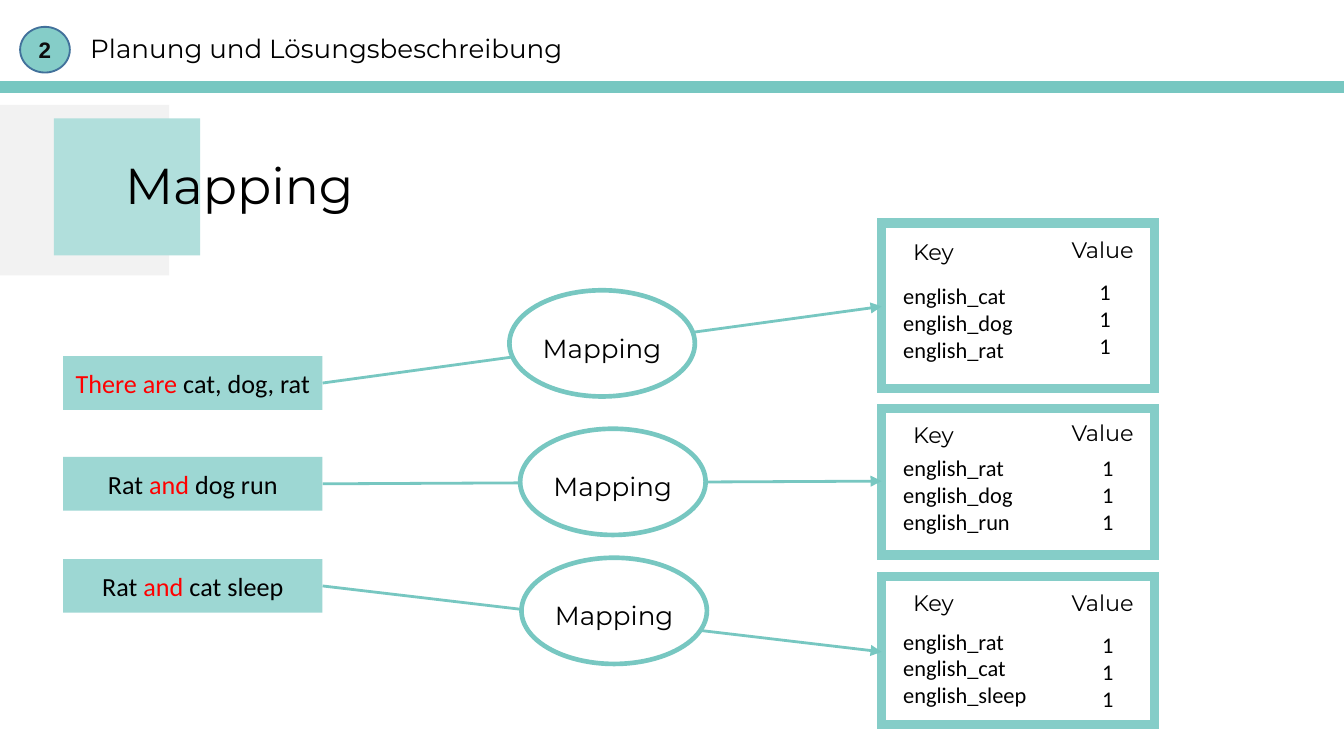
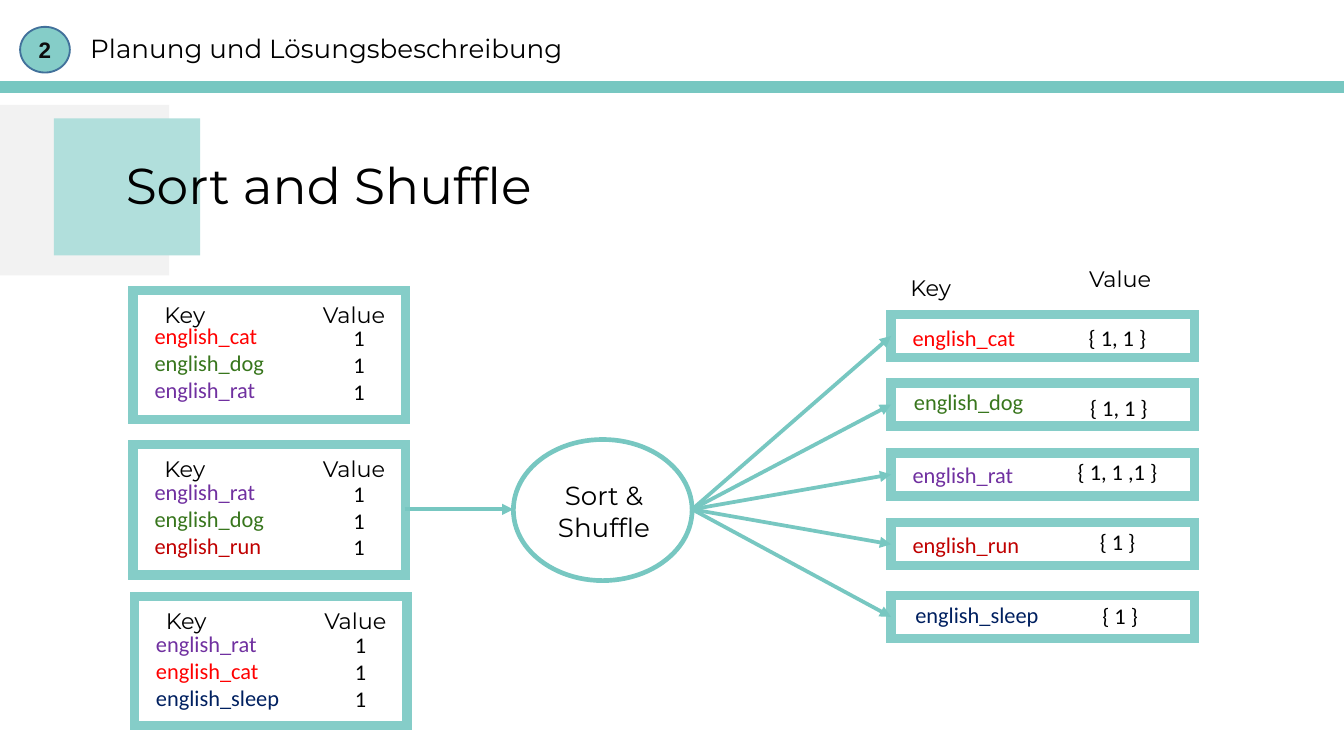
from lxml.etree import SubElement
from pptx import Presentation
from pptx.dml.color import RGBColor
from pptx.enum.shapes import MSO_CONNECTOR, MSO_SHAPE
from pptx.enum.text import MSO_ANCHOR, PP_ALIGN
from pptx.oxml.ns import qn
from pptx.util import Inches, Pt

BLACK = RGBColor(0x00, 0x00, 0x00)
WHITE = RGBColor(0xFF, 0xFF, 0xFF)
INK = RGBColor(0x0C, 0x0C, 0x0C)
GREY = RGBColor(0xF2, 0xF2, 0xF2)
TEAL = RGBColor(0x77, 0xC7, 0xC1)
FRAME = RGBColor(0x85, 0xCD, 0xC8)
PALE_TEAL = RGBColor(0xB1, 0xDF, 0xDC)
INPUT_TEAL = RGBColor(0x9D, 0xD7, 0xD3)
BLUE = RGBColor(0x42, 0x71, 0x9B)
RED = RGBColor(0xFF, 0x00, 0x00)
GREEN = RGBColor(0x38, 0x76, 0x1D)
PURPLE = RGBColor(0x70, 0x30, 0xA0)
DARK_RED = RGBColor(0xC0, 0x00, 0x00)
NAVY = RGBColor(0x00, 0x20, 0x60)

TITLE = {"name": "Montserrat", "size": Pt(27)}
HEADING = {"name": "Montserrat", "size": Pt(14)}
LABEL = {"name": "Montserrat", "size": Pt(12)}
INPUT = {"name": "Calibri", "size": Pt(14)}
ENTRY = {"name": "Calibri", "size": Pt(12)}
BADGE = {"name": "Arial", "size": Pt(12), "bold": True}

KEY_COLORS = {
    "english_cat": RED,
    "english_dog": GREEN,
    "english_rat": PURPLE,
    "english_run": DARK_RED,
    "english_sleep": NAVY,
}


def add_box(shapes, at, paras=(), font=ENTRY, align=PP_ALIGN.CENTER,
            kind=None, fill=None, line=None, width=0):
    """Add a preset shape, or a text box if kind is None.

    Each paragraph is a list of (text, colour) runs; a run "\\n" is a line break.
    """
    place = [Inches(v) for v in at]
    if kind is None:
        sp = shapes.add_textbox(*place)
    else:
        sp = shapes.add_shape(kind, *place)
        sp.shadow.inherit = False
        sp.fill.solid()
        sp.fill.fore_color.rgb = fill
        if line is None:
            sp.line.fill.background()
        else:
            sp.line.color.rgb = line
            sp.line.width = Pt(width)
            SubElement(sp._element.spPr.find(qn("a:ln")), qn("a:miter"), lim="800000")
    tf = sp.text_frame
    tf.word_wrap = True
    tf.vertical_anchor = MSO_ANCHOR.TOP if kind is None else MSO_ANCHOR.MIDDLE
    tf.margin_left = tf.margin_right = Inches(0.07)
    tf.margin_top = tf.margin_bottom = Inches(0.04)
    for i, runs in enumerate(paras):
        p = tf.add_paragraph() if i else tf.paragraphs[0]
        p.alignment = align
        for text, color in runs:
            if text == "\n":
                p.add_line_break()
                continue
            r = p.add_run()
            r.text = text
            r.font.color.rgb = color
            for name, value in font.items():
                setattr(r.font, name, value)


def add_line(s, start, end, width, arrow=True):
    cx = s.shapes.add_connector(MSO_CONNECTOR.STRAIGHT, *[Inches(v) for v in (*start, *end)])
    cx.line.color.rgb = TEAL
    cx.line.width = Pt(width)
    spPr = cx._element.spPr
    if arrow:
        SubElement(spPr.find(qn("a:ln")), qn("a:tailEnd"), type="triangle")
    SubElement(spPr, qn("a:effectLst"))


prs = Presentation()
prs.slide_width = Inches(10)
prs.slide_height = prs.slide_width * 9 // 16

# Header and title on both slides
slides = []
for title, title_width in (("Mapping", 2.22), ("Sort and Shuffle", 3.55)):
    s = prs.slides.add_slide(prs.slide_layouts[6])
    slides.append(s)
    add_box(s.shapes, (0, 0.78, 1.26, 1.27), kind=MSO_SHAPE.RECTANGLE, fill=GREY)
    add_box(s.shapes, (0.4, 0.88, 1.09, 1.02), kind=MSO_SHAPE.RECTANGLE, fill=PALE_TEAL)
    add_line(s, (0, 0.65), (10, 0.65), 6.5, arrow=False)
    add_box(s.shapes, (0.15, 0.2, 0.37, 0.34), [[("2", INK)]], BADGE,
            kind=MSO_SHAPE.OVAL, fill=FRAME, line=BLUE, width=1)
    add_box(s.shapes, (0.37, 0.2, 4.12, 0.6),
            [[("Planung und Lösungsbeschreibung", BLACK)]], HEADING)
    add_box(s.shapes, (0.67, 1.11, title_width, 0.53), [[(title, BLACK)]], TITLE)
mapping, shuffle = slides

# Key/value cards: slide, left, top, height, tops of "Key", "Value", keys and ones,
# left of ones, words (a slash breaks the line within a paragraph)
cards = [
    (mapping, 6.56, 1.66, 1.23, 1.73, 1.72, 2.06, 2.03, 8.11, "cat dog rat"),
    (mapping, 6.56, 3.04, 1.09, 3.09, 3.08, 3.34, 3.34, 8.13, "rat dog run"),
    (mapping, 6.56, 4.29, 1.10, 4.34, 4.34, 4.63, 4.66, 8.13, "rat/cat sleep"),
    (shuffle, 0.99, 2.16, 0.96, 2.20, 2.20, 2.36, 2.37, 2.56, "cat dog rat"),
    (shuffle, 0.99, 3.31, 0.97, 3.35, 3.35, 3.52, 3.53, 2.56, "rat/dog run"),
    (shuffle, 1.00, 4.44, 0.96, 4.48, 4.48, 4.65, 4.66, 2.57, "rat/cat sleep"),
]
for s, x, y, h, key_y, value_y, keys_y, ones_y, ones_x, words in cards:
    paras = []
    for group in words.split():
        runs = []
        for word in group.split("/"):
            if runs:
                runs.append(("\n", None))
            key = f"english_{word}"
            runs.append((key, KEY_COLORS[key] if s is shuffle else BLACK))
        paras.append(runs)
    shapes = s.shapes.add_group_shape().shapes
    add_box(shapes, (x, y, 2.03, h), kind=MSO_SHAPE.RECTANGLE,
            fill=WHITE, line=FRAME, width=5)
    add_box(shapes, (x + 0.09, keys_y, 1.48, 0.69), paras, align=PP_ALIGN.LEFT)
    add_box(shapes, (x + 0.09, key_y, 0.59, 0.14), [[("Key", BLACK)]], LABEL)
    add_box(shapes, (x + 1.26, value_y, 0.77, 0.14), [[("Value", BLACK)]], LABEL)
    add_box(shapes, (ones_x, ones_y, 0.31, 0.7), [[("1", BLACK)]] * 3, align=PP_ALIGN.LEFT)

# Mapping: input top, input runs, arrow end, oval position
inputs = [
    (2.65, [("There are", RED), (" cat, dog, rat", BLACK)], 2.28, (3.79, 2.16)),
    (3.40, [("Rat ", BLACK), ("and", RED), (" dog run", BLACK)], 3.58, (3.87, 3.19)),
    (4.16, [("Rat ", BLACK), ("and", RED), (" cat sleep", BLACK)], 4.85, (3.88, 4.15)),
]
for y, runs, end_y, (oval_x, oval_y) in inputs:
    add_line(mapping, (2.4, y + 0.2), (6.56, end_y), 1.5)
    add_box(mapping.shapes, (0.47, y, 1.93, 0.4), [runs], INPUT,
            kind=MSO_SHAPE.RECTANGLE, fill=INPUT_TEAL)
    shapes = mapping.shapes.add_group_shape().shapes
    add_box(shapes, (oval_x, oval_y, 1.38, 0.79), kind=MSO_SHAPE.OVAL,
            fill=WHITE, line=TEAL, width=2.5)
    add_box(shapes, (oval_x + 0.07, oval_y + 0.27, 1.24, 0.26),
            [[("Mapping", BLACK)]], HEADING)

# Sort and Shuffle
add_line(shuffle, (3.01, 3.79), (3.82, 3.79), 2)
shapes = shuffle.shapes.add_group_shape().shapes
add_box(shapes, (3.82, 3.27, 1.33, 1.05), kind=MSO_SHAPE.OVAL,
        fill=WHITE, line=TEAL, width=2.5)
add_box(shapes, (3.76, 3.53, 1.47, 0.63),
        [[("Sort &", BLACK), ("\n", None), ("Shuffle", BLACK)]], HEADING)
add_box(shuffle.shapes, (6.63, 2, 0.59, 0.22), [[("Key", BLACK)]], LABEL)
add_box(shuffle.shapes, (7.95, 1.93, 0.77, 0.27), [[("Value", BLACK)]], LABEL)

# Results: top, key, key position, values, values position
results = [
    (2.34, "english_cat", (6.72, 2.37), "{ 1, 1 }", (7.81, 2.37)),
    (2.85, "english_dog", (6.73, 2.85), "{ 1, 1 }", (7.82, 2.89)),
    (3.37, "english_rat", (6.72, 3.39), "{ 1, 1 ,1 }", (7.81, 3.37)),
    (3.89, "english_run", (6.72, 3.91), "{ 1 }", (7.81, 3.89)),
    (4.43, "english_sleep", (6.74, 4.43), "{ 1 }", (7.83, 4.44)),
]
for y, key, key_at, values, values_at in results:
    shapes = shuffle.shapes.add_group_shape().shapes
    add_box(shapes, (6.63, y, 2.26, 0.32), kind=MSO_SHAPE.RECTANGLE,
            fill=WHITE, line=FRAME, width=5)
    add_box(shapes, (*key_at, 1.11, 0.15), [[(key, KEY_COLORS[key])]], align=PP_ALIGN.LEFT)
    add_box(shapes, (*values_at, 1.01, 0.15), [[(values, BLACK)]])
    add_line(shuffle, (5.15, 3.79), (6.63, y + 0.16), 2)

prs.save("out.pptx")
